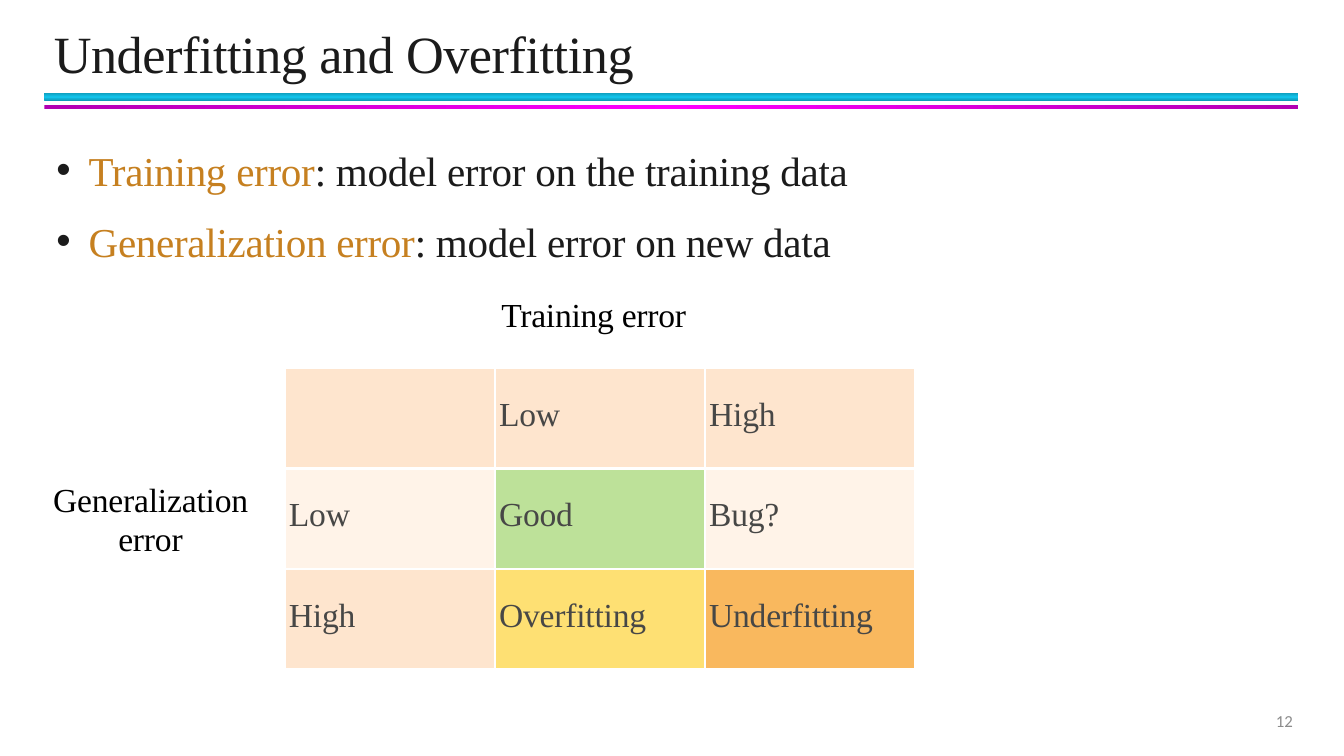
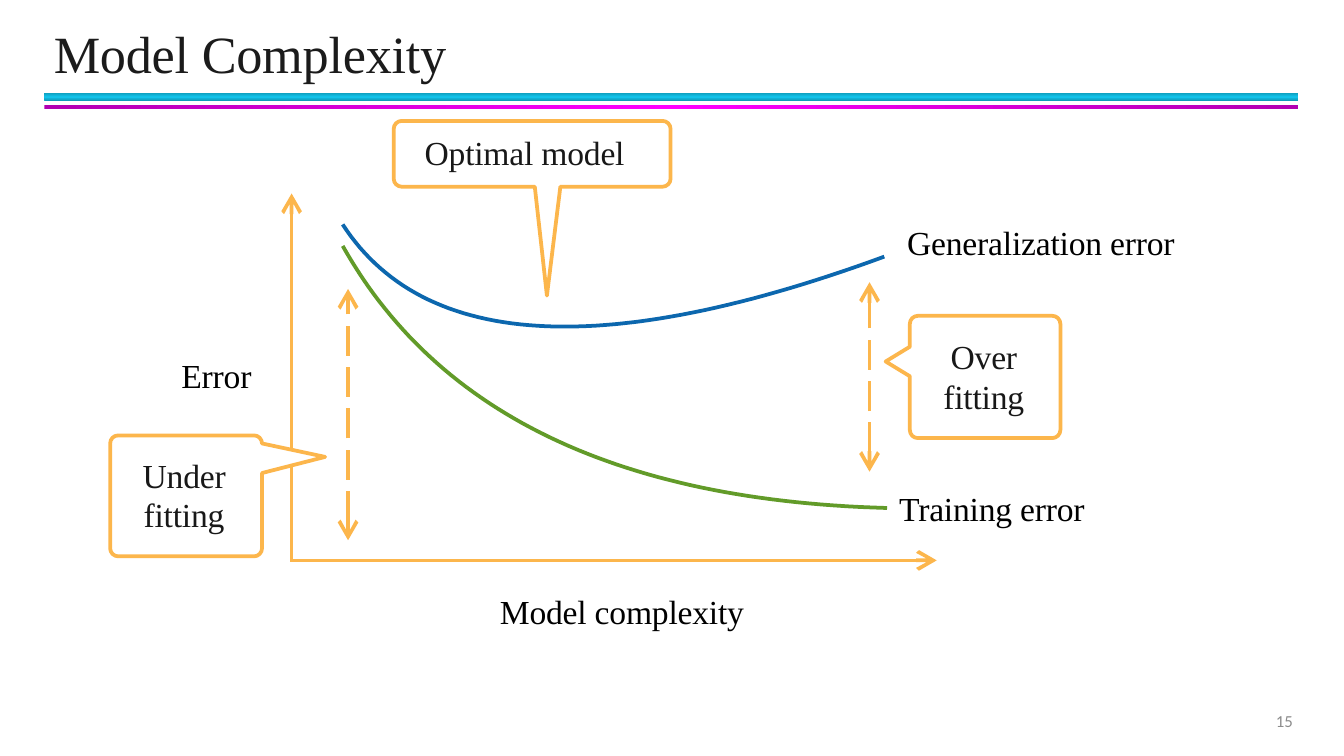
from copy import deepcopy
from math import cos, pi, sin

from lxml.etree import SubElement
from pptx import Presentation
from pptx.dml.color import RGBColor
from pptx.enum.dml import MSO_LINE
from pptx.enum.shapes import MSO_CONNECTOR, MSO_SHAPE
from pptx.enum.text import MSO_ANCHOR, MSO_AUTO_SIZE, PP_ALIGN
from pptx.oxml.ns import qn
from pptx.util import Inches, Pt

# Grid: one unit is a tenth of the slide's width
WIDE = 10
HIGH = WIDE * 9 / 16
SERIF = "Times New Roman"
INK, BLACK, DARK, GRAY = "1B1B1B", "000000", "181818", "8C8C8C"
TERM, AMBER, BLUE, GREEN = "C68020", "FCB64C", "0C67AE", "629B29"
PEACH, CREAM, WHITE = "FEE5CE", "FFF3E8", "FFFFFF"


def grid(*units):
    return [Inches(unit) for unit in units]


def rgb(code):
    return RGBColor.from_string(code)


def place(shape, box):
    shape.left, shape.top, shape.width, shape.height = grid(*box)


def style(para, size, color, face=SERIF, track=-0.1):
    para.font.size = Pt(size)
    para.font.name = face
    para.font.color.rgb = rgb(color)
    # Letter spacing, in hundredths of a point
    para._p.pPr.find(qn("a:defRPr")).set("spc", str(round(track * 100)))


def frame(shape, top=0.0, anchor=MSO_ANCHOR.TOP):
    text = shape.text_frame
    text.word_wrap = True
    text.auto_size = MSO_AUTO_SIZE.NONE
    text.vertical_anchor = anchor
    text.margin_left = text.margin_right = text.margin_bottom = 0
    text.margin_top = Inches(top)
    return text


def label(slide, words, box, color=BLACK, lead=None, align=PP_ALIGN.LEFT):
    text = frame(slide.shapes.add_textbox(*grid(*box)), 0.03 if lead else 0.01)
    para = text.paragraphs[0]
    para.text = words
    para.alignment = align
    if lead:
        para.line_spacing = Pt(lead)
    style(para, 18, color)


# Shared parts
def band(prs, slide, box, edge, core, angle):
    bar = slide.shapes.add_shape(MSO_SHAPE.RECTANGLE, *grid(*box))
    bar.shadow.inherit = False
    bar.line.fill.background()
    bar.fill.gradient()
    bar.fill.gradient_angle = angle
    stops = bar.element.find(".//" + qn("a:gsLst"))
    stops.append(deepcopy(stops[0]))
    for stop, spot, color in zip(bar.fill.gradient_stops, (0, 0.5, 1), (edge, core, edge)):
        stop.position = spot
        stop.color.rgb = rgb(color)
    # The master carries the bands for every slide
    prs.slide_master.shapes.element.append(bar.element)


def start(prs, layout, title, number, wide, track):
    slide = prs.slides.add_slide(prs.slide_layouts[layout])
    head = slide.shapes.title
    place(head, (0.4, 0.14, wide, 0.49))
    para = frame(head, 0.01, MSO_ANCHOR.MIDDLE).paragraphs[0]
    para.text = title
    para.alignment = PP_ALIGN.LEFT
    style(para, 28, INK, track=track)
    foot = slide.shapes.add_textbox(*grid(7.37, 5.21, 2.25, 0.3))
    para = frame(foot, anchor=MSO_ANCHOR.MIDDLE).paragraphs[0]
    para.text = number
    para.alignment = PP_ALIGN.RIGHT
    style(para, 9, GRAY, "Calibri", 0)
    return slide


# Body list
def indent(para, left, first, color=None):
    props = para._p.get_or_add_pPr()
    props.set("marL", str(Inches(left)))
    props.set("indent", str(Inches(first)))
    if color:
        tint = SubElement(props, qn("a:buClr"))
        SubElement(tint, qn("a:srgbClr")).set("val", color)
        SubElement(props, qn("a:buChar")).set("char", "•")
    else:
        SubElement(props, qn("a:buNone"))


def terms(slide, items, caption):
    body = slide.placeholders[1]
    place(body, (0.41, 0.91, 7.17, 1.6))
    text = frame(body, 0.17)
    para = text.paragraphs[0]
    for term, rest, gap in items:
        indent(para, 0.25, -0.24, INK)
        para.space_before = Pt(gap)
        style(para, 22, INK, track=-0.15)
        for words, color in ((term, TERM), (rest, INK)):
            run = para.add_run()
            run.text = words
            run.font.color.rgb = rgb(color)
        para = text.add_paragraph()
    indent(para, 3.32, 0)
    para.space_before = Pt(15.2)
    para.text = caption
    style(para, 18, BLACK, track=-0.15)


# Table
def border(cell):
    props = cell._tc.get_or_add_tcPr()
    for spot, side in enumerate(("lnL", "lnR", "lnT", "lnB")):
        line = SubElement(props, qn("a:" + side))
        line.set("w", str(Pt(1.5)))
        fill = SubElement(line, qn("a:solidFill"))
        SubElement(fill, qn("a:srgbClr")).set("val", WHITE)
        props.insert(spot, line)


def matrix(slide, rows, box):
    table = slide.shapes.add_table(len(rows), len(rows[0]), *grid(*box)).table
    for r, row in enumerate(rows):
        for c, (words, color) in enumerate(row):
            cell = table.cell(r, c)
            cell.margin_left, cell.margin_top = grid(0.03, 0.21)
            cell.margin_right = cell.margin_bottom = 0
            cell.fill.solid()
            cell.fill.fore_color.rgb = rgb(color)
            border(cell)
            para = cell.text_frame.paragraphs[0]
            para.text = words
            style(para, 18, "474746")
            para.font.bold = False


# Diagram
def arrow(slide, tail, tip, both=False):
    line = slide.shapes.add_connector(MSO_CONNECTOR.STRAIGHT, *grid(*tail, *tip))
    line.line.color.rgb = rgb(AMBER)
    line.line.width = Pt(2)
    if both:
        line.line.dash_style = MSO_LINE.LONG_DASH
    stroke = line.line._get_or_add_ln()
    for end in ("headEnd", "tailEnd") if both else ("tailEnd",):
        mark = SubElement(stroke, qn("a:" + end))
        for key, value in (("type", "arrow"), ("w", "lg"), ("len", "lg")):
            mark.set(key, value)
    SubElement(line.element.spPr, qn("a:effectLst"))


def outline(slide, points, color, fill=None):
    first, *rest = [grid(*point) for point in points]
    pen = slide.shapes.build_freeform(*first)
    pen.add_line_segments(rest, close=bool(fill))
    shape = pen.convert_to_shape()
    shape.shadow.inherit = False
    shape.line.color.rgb = rgb(color)
    shape.line.width = Pt(2)
    if fill:
        shape.fill.solid()
        shape.fill.fore_color.rgb = rgb(fill)
    else:
        shape.fill.background()


def curve(slide, a, b, c, color, steps=60):
    """Quadratic arc from a to c, pulled towards b."""
    points = []
    for step in range(steps + 1):
        t = step / steps
        points.append([(1 - t) ** 2 * p + 2 * t * (1 - t) * q + t * t * r
                       for p, q, r in zip(a, b, c)])
    outline(slide, points, color)


def callout(slide, box, side, wedge, radius=0.06):
    """Round box with a wedge on a side: 0 top, 1 right, 2 bottom, 3 left."""
    x, y, w, h = box
    left, right = x + radius, x + w - radius
    top, low = y + radius, y + h - radius
    points = []
    for turn, (cx, cy) in enumerate(((left, top), (right, top), (right, low), (left, low))):
        for step in range(5):
            angle = pi + (turn + step / 4) * pi / 2
            points.append((cx + radius * cos(angle), cy + radius * sin(angle)))
        if turn == side:
            points.extend(wedge)
    outline(slide, points, AMBER, WHITE)


def errors(prs):
    slide = start(prs, 1, "Underfitting and Overfitting", "12", 4.71, -0.23)
    band(prs, slide, (0.33, 0.69, 9.33, 0.06), "0E9BBA", "12C2E9", 90)
    band(prs, slide, (0.33, 0.78, 9.33, 0.03), "B200B2", "FF00FF", 0)
    matrix(slide, [
        [("", PEACH), ("Low", PEACH), ("High", PEACH)],
        [("Low", CREAM), ("Good", "BDE199"), ("Bug?", CREAM)],
        [("High", PEACH), ("Overfitting", "FEE073"), ("Underfitting", "F9B85E")],
    ], (2.12, 2.74, 4.69, 2.24))
    terms(slide, [
        ("Training error", ": model error on the training data", 12.6),
        ("Generalization error", ": model error on new data", 11.6),
    ], "Training error")
    label(slide, "Generalization error", (0.31, 3.54, 1.62, 0.62),
          lead=21, align=PP_ALIGN.CENTER)


def model(prs):
    slide = start(prs, 5, "Model Complexity", "15", 3.14, -0.1)
    # Axes and curves
    arrow(slide, (2.16, 4.17), (6.97, 4.17))
    arrow(slide, (2.17, 4.18), (2.17, 1.44))
    curve(slide, (2.55, 1.67), (3.45, 3.06), (6.58, 1.91), BLUE)
    curve(slide, (2.55, 1.83), (3.6, 3.7), (6.6, 3.78), GREEN)
    # Gaps between the curves
    arrow(slide, (2.59, 4.02), (2.59, 2.15), both=True)
    arrow(slide, (6.47, 3.51), (6.47, 2.1), both=True)
    # Axis and curve names
    for words, box in (
        ("Error", (1.35, 2.63, 0.61, 0.33)),
        ("Model complexity", (3.72, 4.39, 1.96, 0.33)),
        ("Generalization error", (6.75, 1.64, 2.26, 0.33)),
        ("Training error", (6.69, 3.62, 1.49, 0.33)),
    ):
        label(slide, words, box)
    # Callouts
    callout(slide, (0.82, 3.24, 1.13, 0.9), 1, [(1.95, 3.3), (2.42, 3.4), (1.95, 3.52)])
    callout(slide, (6.77, 2.35, 1.12, 0.91), 3, [(6.77, 2.8), (6.59, 2.69), (6.77, 2.58)])
    callout(slide, (2.93, 0.9, 2.06, 0.49), 2, [(4.17, 1.39), (4.07, 2.2), (3.98, 1.39)])
    for words, box in (
        ("Under fitting", (0.94, 3.36, 0.86, 0.62)),
        ("Over fitting", (6.98, 2.48, 0.68, 0.62)),
    ):
        label(slide, words, box, DARK, 21, PP_ALIGN.CENTER)
    label(slide, "Optimal model", (3.16, 0.97, 1.63, 0.33), DARK)


def main():
    prs = Presentation()
    prs.slide_width, prs.slide_height = grid(WIDE, HIGH)
    errors(prs)
    model(prs)
    prs.save("out.pptx")


if __name__ == "__main__":
    main()
